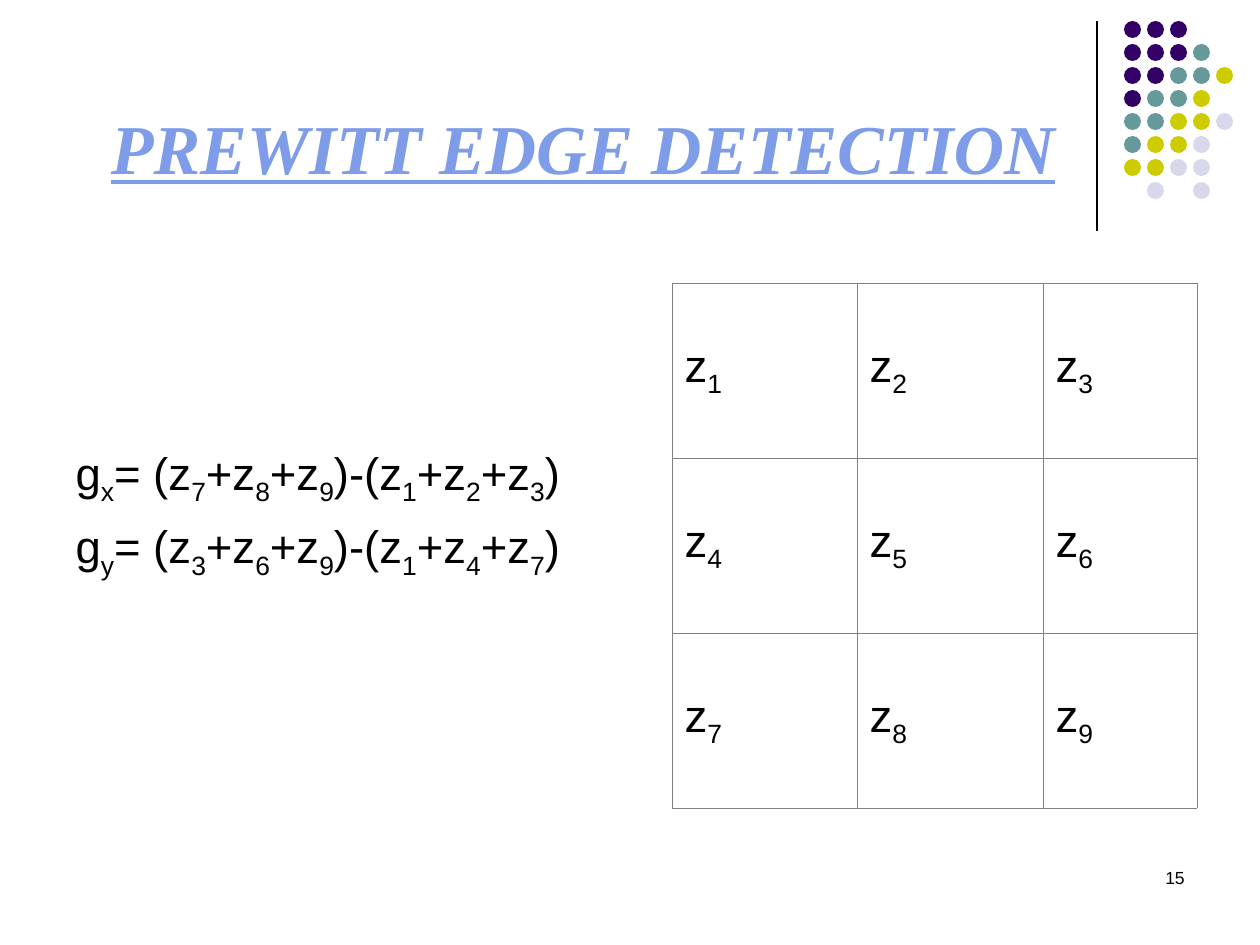
from typing import NamedTuple

from lxml import etree
from pptx import Presentation
from pptx import util as u
from pptx.dml.color import RGBColor
from pptx.enum import shapes, text
from pptx.oxml.ns import qn

PX_PER_INCH = 126
BLACK = RGBColor(0x00, 0x00, 0x00)
WHITE = RGBColor(0xFF, 0xFF, 0xFF)
GREY = RGBColor(0x80, 0x80, 0x80)
BLUE = RGBColor(0x7E, 0x9C, 0xE8)
DOT_COLOURS = {
    "P": RGBColor(0x33, 0x00, 0x66),
    "T": RGBColor(0x66, 0x99, 0x99),
    "Y": RGBColor(0xCC, 0xCC, 0x00),
    "L": RGBColor(0xD8, 0xD8, 0xEC),
}
DOT_ROWS = ["PPP", "PPPT", "PPTTY", "PTTY", "TTYYL", "TYYL", "YYLL", " L L"]
FORMULAS = ["g_x= (z_7+z_8+z_9)-(z_1+z_2+z_3)",
            "g_y= (z_3+z_6+z_9)-(z_1+z_4+z_7)"]


def px(length: int) -> u.Emu:
    return u.Emu(round(length * 914400 / PX_PER_INCH))


class Box(NamedTuple):
    left: int
    top: int
    width: int
    height: int

    def emu(self) -> list:
        return [px(length) for length in self]

    def place(self, shape) -> None:
        shape.left, shape.top, shape.width, shape.height = self.emu()


class Dot(NamedTuple):
    column: int
    row: int
    colour: RGBColor


def write(para, markup: str, *, size: int = 26, font: str = "Arial",
          colour: RGBColor = BLACK, bold: bool = False, italic: bool = False,
          underline: bool = False, align=text.PP_ALIGN.LEFT) -> None:
    """Fill a paragraph; the character after each underscore is a subscript."""
    para.alignment = align
    first, *rest = markup.split("_")
    pieces = [(first, False)]
    for part in rest:
        pieces += [(part[0], True), (part[1:], False)]
    for piece, subscript in pieces:
        if not piece:
            continue
        span = para.add_run()
        span.text = piece
        span.font.size, span.font.name = u.Pt(size), font
        span.font.bold, span.font.italic = bold, italic
        span.font.underline = underline
        span.font.color.rgb = colour
        if subscript:
            span.font._element.set("baseline", "-25000")


def draw_dot(group, dot: Dot) -> None:
    pitch, size = 23, 17
    box = Box(1124 + dot.column * pitch, 21 + dot.row * pitch, size, size)
    shape = group.shapes.add_shape(shapes.MSO_SHAPE.OVAL, *box.emu())
    shape.shadow.inherit = False
    shape.fill.solid()
    shape.fill.fore_color.rgb = dot.colour
    shape.line.fill.background()


def draw_divider(page) -> None:
    line = page.shapes.add_connector(
        shapes.MSO_CONNECTOR.STRAIGHT, px(1097), px(21), px(1097), px(231))
    line.line.color.rgb = BLACK
    line.line.width = u.Pt(0.75)
    etree.SubElement(line._element.spPr, qn("a:effectLst"))


def set_borders(cell, colour: RGBColor, width: float) -> None:
    properties = cell._tc.get_or_add_tcPr()
    for side in ("lnL", "lnR", "lnT", "lnB"):
        line = etree.SubElement(properties, qn(f"a:{side}"), w=str(u.Pt(width)))
        fill = etree.SubElement(line, qn("a:solidFill"))
        etree.SubElement(fill, qn("a:srgbClr"), val=str(colour))


def fill_title(title) -> None:
    Box(63, 16, 1040, 179).place(title)
    frame = title.text_frame
    frame.auto_size = text.MSO_AUTO_SIZE.NONE
    frame.vertical_anchor = text.MSO_ANCHOR.BOTTOM
    write(frame.paragraphs[0], "PREWITT EDGE DETECTION", size=40,
          font="Times New Roman", colour=BLUE, bold=True, italic=True,
          underline=True, align=text.PP_ALIGN.CENTER)


def fill_formulas(body) -> None:
    Box(63, 237, 599, 607).place(body)
    frame = body.text_frame
    frame.auto_size = text.MSO_AUTO_SIZE.NONE
    frame.margin_top = px(208)
    for index, formula in enumerate(FORMULAS):
        para = frame.add_paragraph() if index else frame.paragraphs[0]
        properties = para._p.get_or_add_pPr()
        properties.set("marL", str(px(48)))
        properties.set("indent", str(px(-48)))
        etree.SubElement(properties, qn("a:buNone"))
        para.line_spacing = 1.0
        para.space_before = u.Pt(6.5 if index else 0)
        write(para, formula)


def draw_mask(page) -> None:
    widths, row_height = [185, 186, 154], 175
    box = Box(672, 283, sum(widths), 3 * row_height)
    table = page.shapes.add_table(3, 3, *box.emu()).table
    table.first_row = table.horz_banding = False
    for column, width in zip(table.columns, widths):
        column.width = px(width)
    for row in table.rows:
        row.height = px(row_height)
    for number, cell in enumerate(table.iter_cells(), start=1):
        set_borders(cell, GREY, 0.45)
        cell.fill.solid()
        cell.fill.fore_color.rgb = WHITE
        cell.vertical_anchor = text.MSO_ANCHOR.MIDDLE
        write(cell.text_frame.paragraphs[0], f"z_{number}")


def draw_page_number(page) -> None:
    frame = page.shapes.add_textbox(*Box(903, 861, 294, 63).emu()).text_frame
    frame.word_wrap = True
    write(frame.paragraphs[0], "15", size=10, align=text.PP_ALIGN.RIGHT)


def main() -> None:
    deck = Presentation()
    deck.slide_width, deck.slide_height = px(1260), px(945)
    page = deck.slides.add_slide(deck.slide_layouts[1])
    page.background.fill.solid()
    page.background.fill.fore_color.rgb = WHITE

    draw_divider(page)
    group = page.shapes.add_group_shape()
    for row, codes in enumerate(DOT_ROWS):
        for column, code in enumerate(codes):
            if code in DOT_COLOURS:
                draw_dot(group, Dot(column, row, DOT_COLOURS[code]))
    draw_page_number(page)
    fill_title(page.shapes.title)
    fill_formulas(page.placeholders[1])
    draw_mask(page)
    deck.save("out.pptx")


if __name__ == "__main__":
    main()
